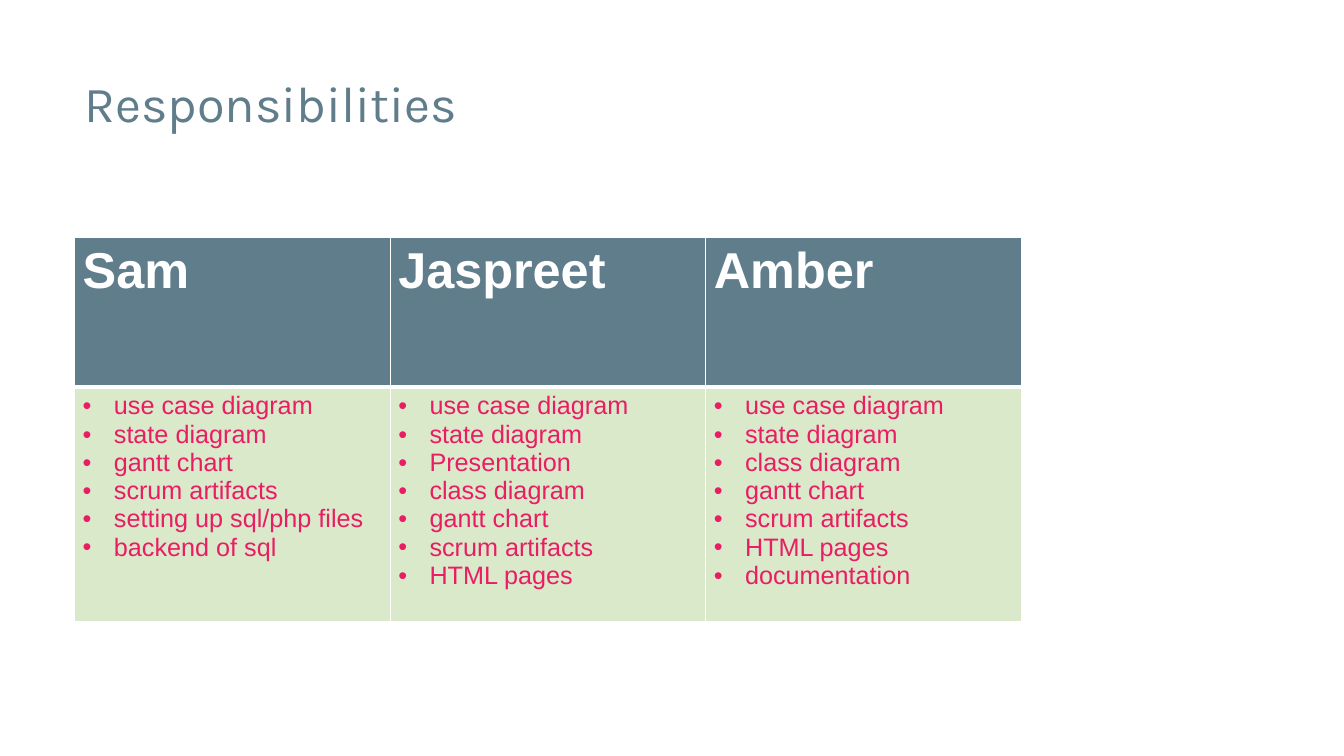
import pptx
import pptx.util
import pptx.dml.color
import pptx.oxml
import pptx.oxml.ns
from pptx.util import Inches

SLATE, PINK, GREEN, WHITE = "607D8B", "E91D63", "DBE9CB", "FFFFFF"
BASE = ["use case diagram", "state diagram"]
TEAM = {
    "Sam": BASE + ["gantt chart", "scrum artifacts", "setting up sql/php files",
                   "backend of sql"],
    "Jaspreet": BASE + ["Presentation", "class diagram", "gantt chart",
                        "scrum artifacts", "HTML pages"],
    "Amber": BASE + ["class diagram", "gantt chart", "scrum artifacts",
                     "HTML pages", "documentation"],
}
HEAD = {"size": pptx.util.Pt(36), "name": "Arial", "bold": True}
BODY = {"size": pptx.util.Pt(18), "name": "Arial", "bold": False}
TITLE = {"size": pptx.util.Pt(36), "name": "Karla", "bold": False}


def color(text):
    return pptx.dml.color.RGBColor.from_string(text)


def write(par, text, form, tint):
    """Add a run with the given font values and colour."""
    run = par.add_run()
    run.text = text
    for key, value in form.items():
        setattr(run.font, key, value)
    run.font.color.rgb = color(tint)


deck = pptx.Presentation()
deck.slide_width, deck.slide_height = Inches(13.33), Inches(7.5)
slide = deck.slides.add_slide(deck.slide_layouts[6])

title = slide.shapes.add_textbox(Inches(0.74), Inches(0.67), Inches(9.4), Inches(1.44))
title.text_frame.word_wrap = True
write(title.text_frame.paragraphs[0], "Responsibilities", TITLE, SLATE)

table = slide.shapes.add_table(2, len(TEAM), Inches(0.74), Inches(2.36),
                               Inches(9.39), Inches(3.81)).table
for col in table.columns:
    col.width = Inches(3.13)
table.rows[0].height = Inches(1.48)
table.rows[1].height = Inches(2.33)

for col, (name, tasks) in enumerate(TEAM.items()):
    head, body = table.cell(0, col), table.cell(1, col)
    write(head.text_frame.paragraphs[0], name, HEAD, WHITE)
    for num, task in enumerate(tasks):
        frame = body.text_frame
        par = frame.add_paragraph() if num else frame.paragraphs[0]
        write(par, task, BODY, PINK)
        props = par._p.get_or_add_pPr()
        props.set("marL", str(Inches(0.31)))
        props.set("indent", str(-Inches(0.31)))
        for tag in (f'<a:buClr %s><a:srgbClr val="{PINK}"/></a:buClr>',
                    '<a:buFont %s typeface="Arial"/>',
                    '<a:buChar %s char="•"/>'):
            props.append(pptx.oxml.parse_xml(tag % pptx.oxml.ns.nsdecls("a")))

    for cell, fill, widths in ((head, SLATE, (1, 1, 1, 3)), (body, GREEN, (1, 1, 3, 1))):
        cell.margin_left = cell.margin_right = Inches(0.08)
        cell.margin_top = cell.margin_bottom = Inches(0.05)
        cell.fill.solid()
        cell.fill.fore_color.rgb = color(fill)
        props = cell._tc.get_or_add_tcPr()
        for spot, (side, width) in enumerate(zip("LRTB", widths)):
            props.insert(spot, pptx.oxml.parse_xml(
                f'<a:ln{side} {pptx.oxml.ns.nsdecls("a")} w="{pptx.util.Pt(width)}">'
                f'<a:solidFill><a:srgbClr val="{WHITE}"/></a:solidFill></a:ln{side}>'))

deck.save("out.pptx")
